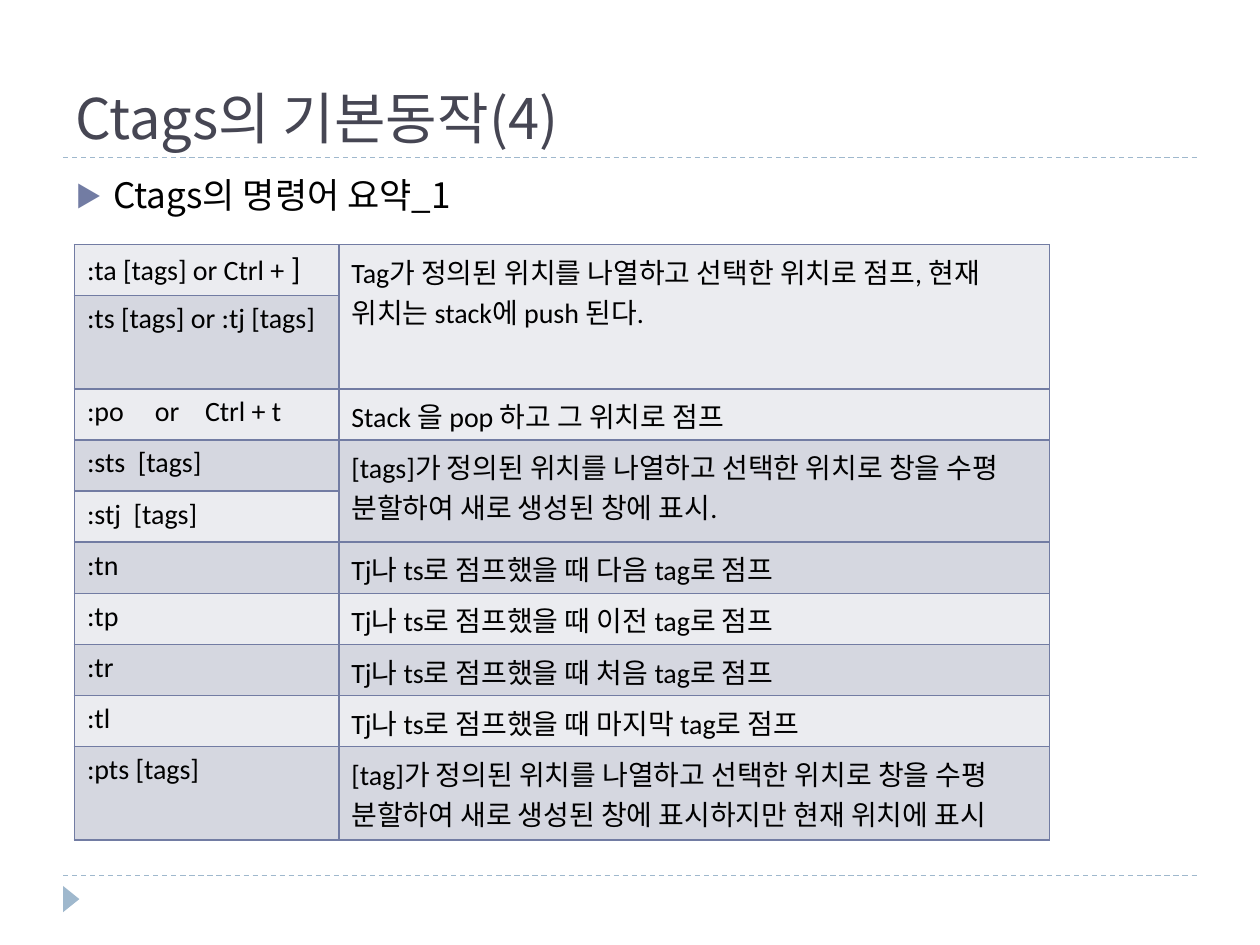
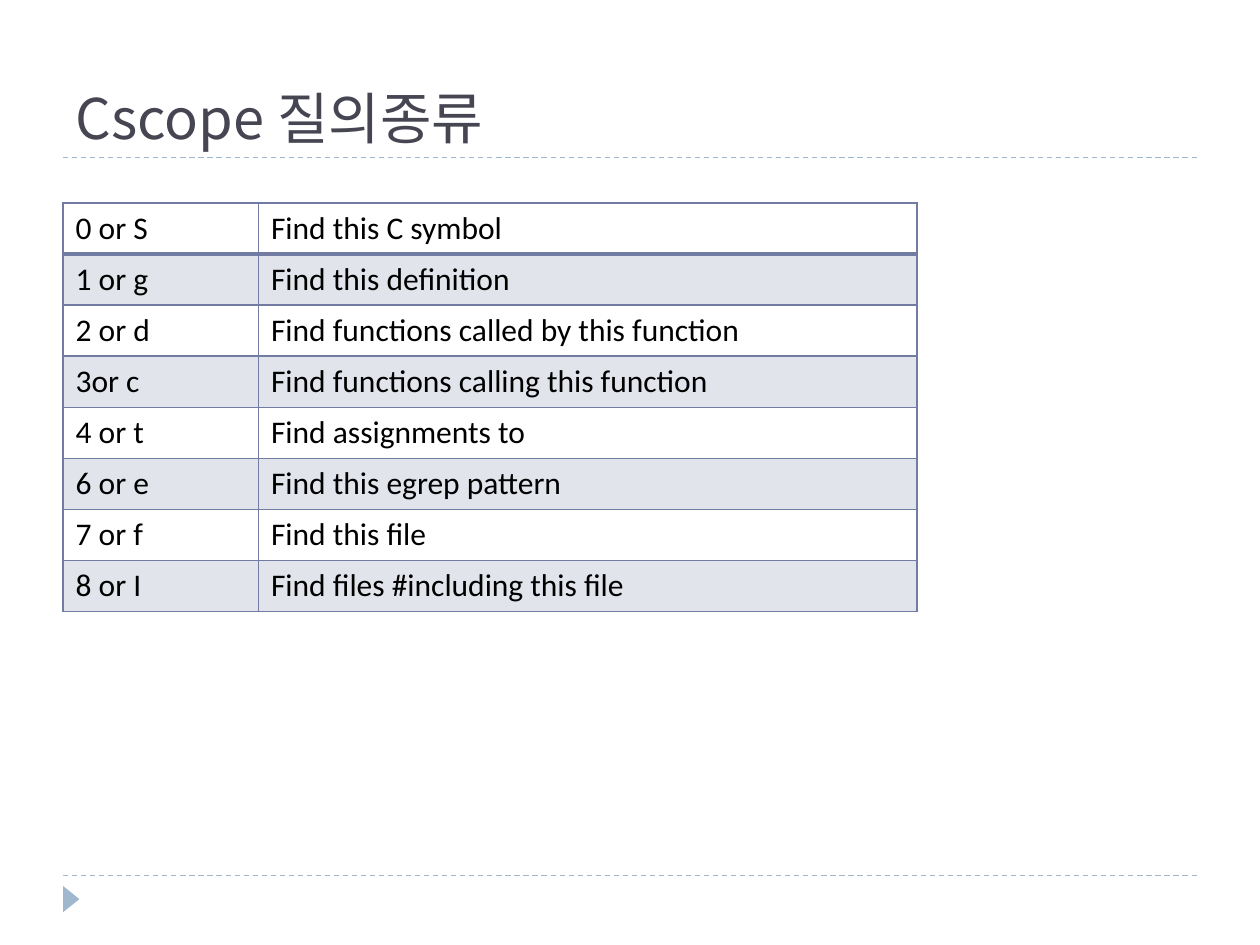
from dataclasses import dataclass
from typing import Optional

from lxml import etree
from pptx import Presentation
from pptx import util as u
from pptx.dml.color import RGBColor
from pptx.enum import dml, shapes, text
from pptx.oxml import ns


@dataclass(frozen=True)
class Theme:
    title: str = "464653"
    body: str = "000000"
    accent: str = "727CA3"
    guide: str = "9FB8CD"
    light_band: str = "EBECF0"
    dark_band: str = "D5D7E0"
    heading_font: str = "Noto Sans CJK KR"
    table_font: str = "Calibri"
    title_size: int = 32
    bullet_size: int = 20
    large_size: int = 18
    cell_size: int = 16


THEME = Theme()


@dataclass(frozen=True)
class Band:
    color: Optional[str] = None
    opacity: int = 100


@dataclass(frozen=True)
class Row:
    key: str
    meaning: Optional[str]  # None continues the cell above
    height: float = 1.03
    large_end: str = ""  # end of the key, set in the larger size
    tabs: tuple[float, ...] = ()


@dataclass(frozen=True)
class TableSpec:
    left: float
    top: float
    columns: tuple[float, float]
    size: int
    bands: tuple[Band, Band]
    rows: tuple[Row, ...]
    first_rule: int = 1  # width of the line under the first row


COMMANDS = TableSpec(
    1.5, 4.93, (5.33, 14.33), THEME.cell_size,
    (Band(THEME.light_band), Band(THEME.dark_band)),
    (
        Row(":ta [tags] or Ctrl + ",
            "Tag가 정의된 위치를 나열하고 선택한 위치로 점프, 현재 위치는 stack에 push 된다.",
            large_end="]"),
        Row(":ts [tags] or :tj [tags]", None, 1.88),
        Row(":po\tor\tCtrl + t", "Stack 을 pop 하고 그 위치로 점프", tabs=(1.37, 2.38)),
        Row(":sts  [tags]",
            "[tags]가 정의된 위치를 나열하고 선택한 위치로 창을 수평 분할하여 새로 생성된 창에 표시."),
        Row(":stj  [tags]", None),
        Row(":tn", "Tj나 ts로 점프했을 때 다음 tag로 점프"),
        Row(":tp", "Tj나 ts로 점프했을 때 이전 tag로 점프"),
        Row(":tr", "Tj나 ts로 점프했을 때 처음 tag로 점프"),
        Row(":tl", "Tj나 ts로 점프했을 때 마지막 tag로 점프"),
        Row(":pts [tags]",
            "[tag]가 정의된 위치를 나열하고 선택한 위치로 창을 수평 분할하여 "
            "새로 생성된 창에 표시하지만 현재 위치에 표시", 1.88),
    ),
)

QUERIES = TableSpec(
    1.27, 4.09, (3.94, 13.28), THEME.large_size,
    (Band(), Band(THEME.accent, 20)),
    (
        Row("0 or S", "Find this C symbol"),
        Row("1 or g", "Find this definition"),
        Row("2 or d", "Find functions called by this function"),
        Row("3or c", "Find functions calling this function"),
        Row("4 or t", "Find assignments to"),
        Row("6 or e", "Find this egrep pattern"),
        Row("7 or f", "Find this file"),
        Row("8 or I", "Find files #including this file"),
    ),
    first_rule=2,
)


def add_element(parent, tag: str, **attributes):
    element = etree.SubElement(parent, ns.qn(tag))
    for name, value in attributes.items():
        element.set(name, str(value))
    return element


def style_paragraph(paragraph, font_name: str, size: int, color: str) -> None:
    font = paragraph.font
    font.name = font_name
    font.size = u.Pt(size)
    font.color.rgb = RGBColor.from_string(color)
    # Korean glyphs use the same family everywhere
    latin = paragraph._p.find(".//" + ns.qn("a:latin"))
    east_asian = etree.Element(ns.qn("a:ea"))
    east_asian.set("typeface", THEME.heading_font)
    latin.addnext(east_asian)


def add_text(slide, top: float, height: float, content: str,
             anchor: text.MSO_ANCHOR):
    box = slide.shapes.add_textbox(u.Cm(1.27), u.Cm(top), u.Cm(22.86), u.Cm(height))
    frame = box.text_frame
    frame.word_wrap = True
    frame.vertical_anchor = anchor
    frame.text = content
    return frame.paragraphs[0]


def add_bullet(slide, content: str) -> None:
    paragraph = add_text(slide, 3.38, 13.72, content, text.MSO_ANCHOR.TOP)
    properties = paragraph._p.get_or_add_pPr()
    properties.set("marL", str(u.Cm(0.76)))
    properties.set("indent", str(-u.Cm(0.76)))
    bullet_color = add_element(properties, "a:buClr")
    add_element(bullet_color, "a:srgbClr", val=THEME.accent)
    add_element(properties, "a:buSzPct", val=76000)
    add_element(properties, "a:buFont", typeface=THEME.heading_font)
    add_element(properties, "a:buChar", char="▶")
    style_paragraph(paragraph, THEME.heading_font, THEME.bullet_size, THEME.body)


def add_guide(slide, y: float) -> None:
    guide = slide.shapes.add_connector(
        shapes.MSO_CONNECTOR.STRAIGHT, u.Cm(1.27), u.Cm(y), u.Cm(24.13), u.Cm(y))
    guide.line.color.rgb = RGBColor.from_string(THEME.guide)
    guide.line.width = u.Pt(0.75)
    guide.line.dash_style = dml.MSO_LINE.DASH
    add_element(guide._element.spPr, "a:effectLst")


def add_slide(presentation, title: str):
    """Add a slide with the shared guides, corner marker and title."""
    slide = presentation.slides.add_slide(presentation.slide_layouts[6])
    for y in (17.65, 3.18):
        add_guide(slide, y)
    marker = slide.shapes.add_shape(
        shapes.MSO_SHAPE.ISOSCELES_TRIANGLE,
        u.Cm(1.17), u.Cm(17.96), u.Cm(0.53), u.Cm(0.33))
    marker.rotation = 90
    marker.shadow.inherit = False
    marker.fill.solid()
    marker.fill.fore_color.rgb = RGBColor.from_string(THEME.guide)
    marker.line.fill.background()
    paragraph = add_text(slide, 0.43, 2.74, title, text.MSO_ANCHOR.BOTTOM)
    style_paragraph(paragraph, THEME.heading_font, THEME.title_size, THEME.title)
    return slide


def style_cell(cell, band: Band, top_rule: int, bottom_rule: int) -> None:
    # Borders come before the fill in the cell properties
    properties = cell._tc.get_or_add_tcPr()
    widths = {"L": 1, "R": 1, "T": top_rule, "B": bottom_rule}
    for side, width in widths.items():
        border = add_element(properties, f"a:ln{side}", w=u.Pt(width))
        fill = add_element(border, "a:solidFill")
        add_element(fill, "a:srgbClr", val=THEME.accent)
    if band.color is None:
        cell.fill.background()
        return
    cell.fill.solid()
    cell.fill.fore_color.rgb = RGBColor.from_string(band.color)
    if band.opacity < 100:
        color = properties.find(ns.qn("a:solidFill")).find(ns.qn("a:srgbClr"))
        add_element(color, "a:alpha", val=band.opacity * 1000)


def write_cell(cell, content: str, size: int, tabs: tuple[float, ...] = ()):
    paragraph = cell.text_frame.paragraphs[0]
    paragraph.add_run().text = content
    if tabs:
        stops = add_element(paragraph._p.get_or_add_pPr(), "a:tabLst")
        for position in tabs:
            add_element(stops, "a:tab", pos=u.Cm(position), algn="l")
    style_paragraph(paragraph, THEME.table_font, size, THEME.body)
    return paragraph


def add_table(slide, spec: TableSpec) -> None:
    table = slide.shapes.add_table(
        len(spec.rows), len(spec.columns), u.Cm(spec.left), u.Cm(spec.top),
        u.Cm(sum(spec.columns)), u.Cm(sum(row.height for row in spec.rows))).table
    table.first_row = table.horz_banding = False
    for column, width in zip(table.columns, spec.columns):
        column.width = u.Cm(width)
    for index, row in enumerate(spec.rows):
        table.rows[index].height = u.Cm(row.height)
        key_cell, meaning_cell = table.cell(index, 0), table.cell(index, 1)
        for cell in (key_cell, meaning_cell):
            style_cell(cell, spec.bands[index % 2],
                       spec.first_rule if index == 1 else 1,
                       spec.first_rule if index == 0 else 1)
        paragraph = write_cell(key_cell, row.key, spec.size, row.tabs)
        if row.large_end:
            run = paragraph.add_run()
            run.text = row.large_end
            run.font.size = u.Pt(THEME.large_size)
        if row.meaning is None:
            table.cell(index - 1, 1).merge(meaning_cell)
        else:
            write_cell(meaning_cell, row.meaning, spec.size)


def main() -> None:
    presentation = Presentation()
    presentation.slide_width = u.Cm(25.4)
    presentation.slide_height = u.Cm(19.05)

    # Command summary
    slide = add_slide(presentation, "Ctags의 기본동작(4)")
    add_bullet(slide, "Ctags의 명령어 요약_1")
    add_table(slide, COMMANDS)

    # Query types
    slide = add_slide(presentation, "Cscope 질의종류")
    add_table(slide, QUERIES)

    presentation.save("out.pptx")


if __name__ == "__main__":
    main()
